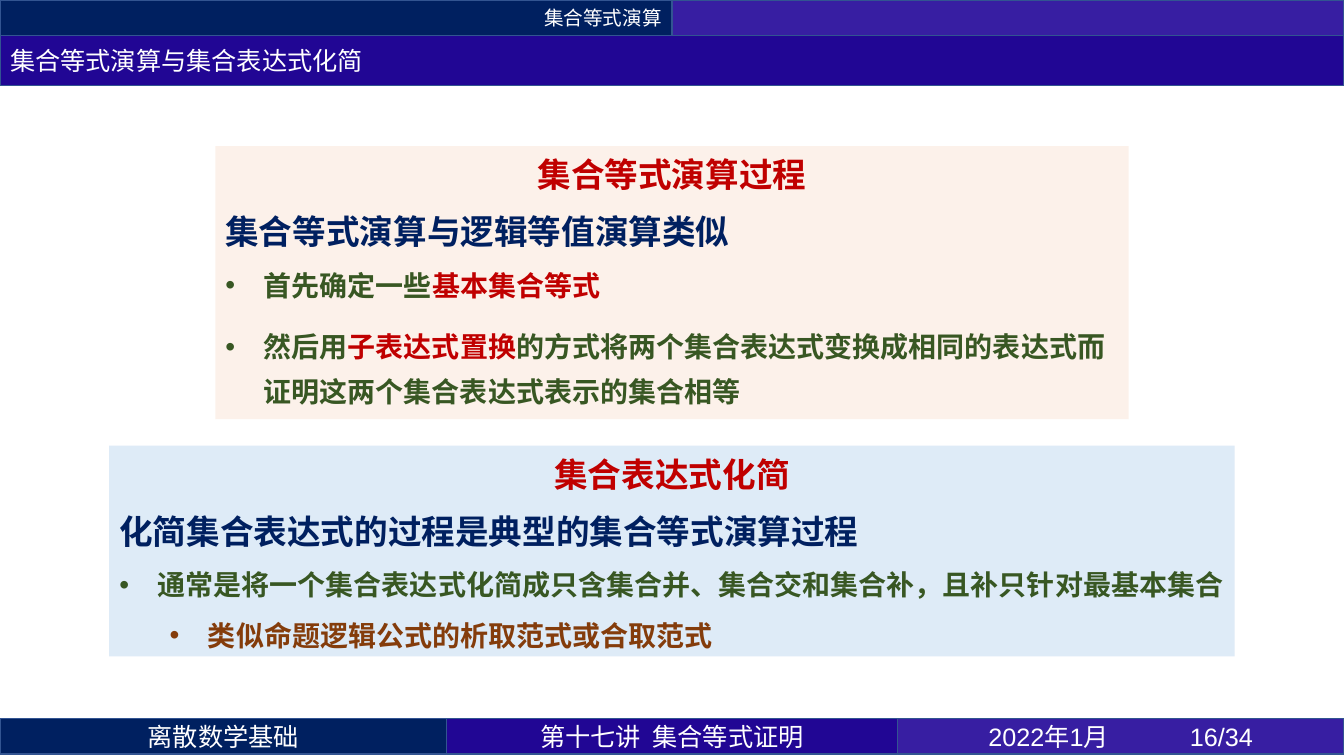
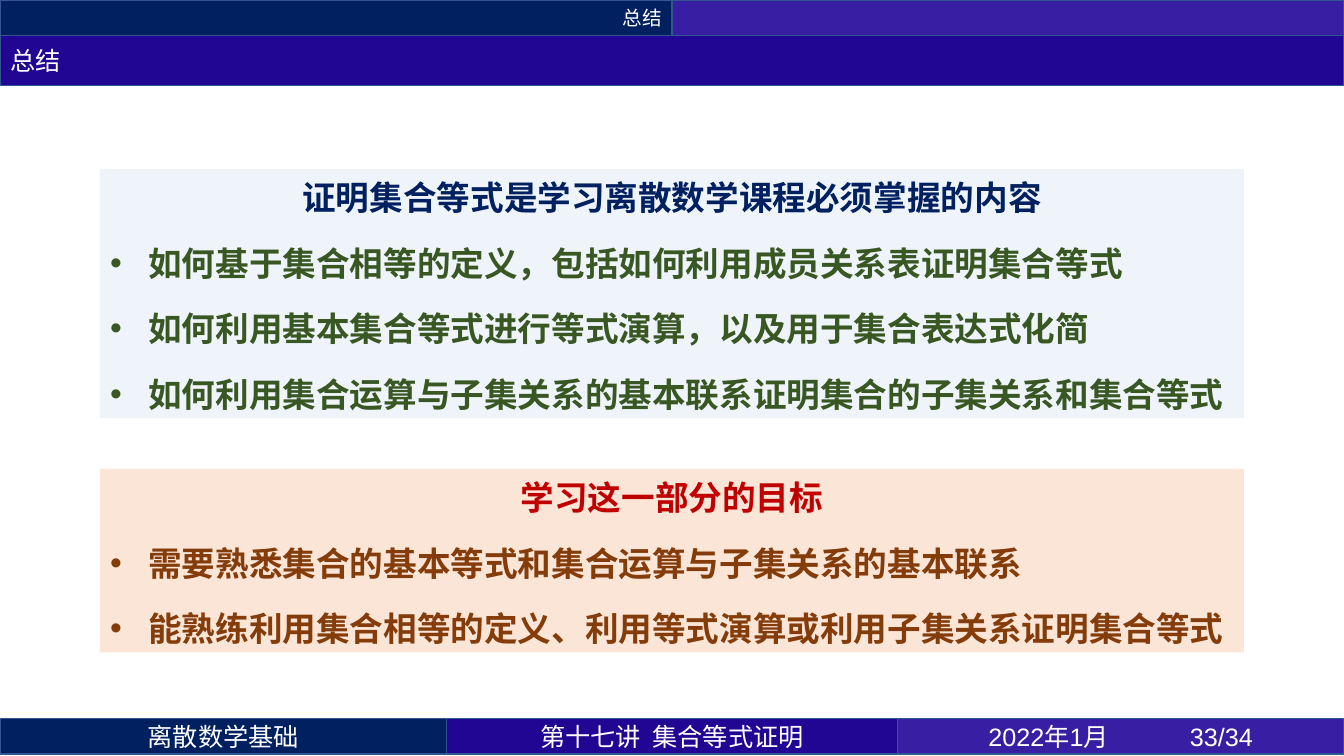
from lxml.etree import SubElement
from pptx import Presentation
from pptx.dml.color import RGBColor
from pptx.enum.shapes import MSO_SHAPE as Shape
from pptx.enum.text import MSO_ANCHOR as Anchor, MSO_AUTO_SIZE as AutoSize, PP_ALIGN as Align
from pptx.oxml.ns import qn
from pptx.util import Pt

COLORS = {
    "white": "FFFFFF", "navy": "002060", "violet": "210694", "purple": "371EA2",
    "edge": "325491", "red": "C00000", "green": "385723", "brown": "843C0B",
    "peach": "FBE5D6", "sky": "DEEBF7",
}
CJK, LATIN = "Noto Sans CJK SC", "Arial"
WIDTH, HEIGHT = 960, 540
BAR, TITLE_BAND = 25.2, 36
FOOTER_TOP = 513.4
INDENT = 27.36
LINE_RATIO = 1.2


def rgb(name):
    return RGBColor.from_string(COLORS[name])


def write(paragraph, text, size=18, color="white", bold=False, font=CJK):
    run = paragraph.add_run()
    run.text = text
    run.font.size = Pt(size)
    run.font.bold = bold
    run.font.name = font
    run.font.color.rgb = rgb(color)
    SubElement(run.font._element, qn("a:ea"), typeface=CJK)


def set_bullet(paragraph, char=None, level=0):
    """Give the paragraph a hanging bullet, or remove the inherited one."""
    properties = paragraph._p.get_or_add_pPr()
    paragraph.level = level
    hang = INDENT if char else 0
    properties.set("marL", str(Pt(hang + 36 * level)))
    properties.set("indent", str(-Pt(hang)))
    if char:
        SubElement(properties, qn("a:buFont"), typeface=LATIN)
        SubElement(properties, qn("a:buChar"), char=char)
    else:
        SubElement(properties, qn("a:buNone"))


def set_tab(paragraph, position):
    tabs = SubElement(paragraph._p.get_or_add_pPr(), qn("a:tabLst"))
    SubElement(tabs, qn("a:tab"), pos=str(Pt(position)), algn="l")


def place(shape, left, top, width, height):
    shape.left, shape.top = Pt(left), Pt(top)
    shape.width, shape.height = Pt(width), Pt(height)


def paint(shape, fill, opacity=100):
    shape.fill.solid()
    shape.fill.fore_color.rgb = rgb(fill)
    if opacity < 100:
        color = shape._element.spPr.find(qn("a:solidFill"))[0]
        SubElement(color, qn("a:alpha"), val=str(opacity * 1000))


class Deck:
    def __init__(self):
        self.prs = Presentation()
        self.prs.slide_width, self.prs.slide_height = Pt(WIDTH), Pt(HEIGHT)
        self.slide = None

    def style_band(self, shape, fill, text, align, tab=None, **fmt):
        paint(shape, fill)
        shape.line.color.rgb = rgb("edge")
        shape.line.width = Pt(1)
        frame = shape.text_frame
        frame.word_wrap = True
        frame.auto_size = AutoSize.NONE
        frame.vertical_anchor = Anchor.MIDDLE
        frame.margin_top = frame.margin_bottom = 0
        paragraph = frame.paragraphs[0]
        paragraph.alignment = align
        if tab:
            set_tab(paragraph, tab)
        if text:
            write(paragraph, text, **fmt)

    def band(self, left, top, width, fill, text="", align=Align.CENTER, **fmt):
        shape = self.slide.shapes.add_shape(
            Shape.RECTANGLE, Pt(left), Pt(top), Pt(width), Pt(BAR))
        shape.shadow.inherit = False
        self.style_band(shape, fill, text, align, **fmt)

    def start(self, section, title, number):
        """Add a slide with its header, title band and footer."""
        self.slide = self.prs.slides.add_slide(self.prs.slide_layouts.get_by_name("Two Content"))
        for holder in list(self.slide.placeholders):
            if holder.placeholder_format.idx > 2:
                holder._element.getparent().remove(holder._element)
        half = WIDTH / 2
        self.band(0, 0, half, "navy", section, Align.RIGHT, size=14)
        self.band(half, 0, half, "purple")
        side, middle = 319, 322
        self.band(0, FOOTER_TOP, side, "navy", "离散数学基础")
        self.band(side, FOOTER_TOP, middle, "violet", "第十七讲  集合等式证明")
        self.band(side + middle, FOOTER_TOP, side, "purple",
                  f"2022年1月\t{number}/34", tab=144, font=LATIN)
        heading = self.slide.shapes.title
        place(heading, 0, BAR, WIDTH, TITLE_BAND)
        self.style_band(heading, "violet", title, Align.LEFT)

    def panel(self, slot, top, width, height, fill, rows, gap=6, opacity=100):
        """Fill body placeholder `slot` with rows of (parts, format), centred on the slide."""
        body = self.slide.placeholders[slot]
        place(body, (WIDTH - width) / 2, top, width, height)
        paint(body, fill, opacity)
        frame = body.text_frame
        frame.word_wrap = True
        frame.auto_size = AutoSize.NONE
        frame.vertical_anchor = Anchor.TOP
        frame.margin_top = Pt(5.6)
        for index, (parts, fmt) in enumerate(rows):
            paragraph = frame.add_paragraph() if index else frame.paragraphs[0]
            size = fmt.get("size", 24)
            set_bullet(paragraph, fmt.get("bullet"), fmt.get("level", 0))
            paragraph.alignment = fmt.get("align", Align.LEFT)
            paragraph.line_spacing = Pt(fmt.get("leading", size * LINE_RATIO))
            paragraph.space_before = Pt(gap if index else 0)
            paragraph.space_after = Pt(gap)
            for text, color in parts:
                write(paragraph, text, size=size, color=color, bold=True)


def heading(text, color="red"):
    return [(text, color)], {"align": Align.CENTER}


def lead(text):
    return [(text, "navy")], {}


def item(*parts, **fmt):
    return parts, {"bullet": "•", **fmt}


def main():
    deck = Deck()

    deck.start("集合等式演算", "集合等式演算与集合表达式化简", 16)
    deck.panel(1, 104.4, 652.4, 195, "peach", [
        heading("集合等式演算过程"),
        lead("集合等式演算与逻辑等值演算类似"),
        item(("首先确定一些", "green"), ("基本集合等式", "red"), size=20),
        item(("然后用", "green"), ("子表达式置换", "red"),
             ("的方式将两个集合表达式变换成相同的表达式而证明这两个集合表达式表示的集合相等", "green"),
             size=20, leading=32),
    ], opacity=50)
    deck.panel(2, 318.4, 804, 150.4, "sky", [
        heading("集合表达式化简"),
        lead("化简集合表达式的过程是典型的集合等式演算过程"),
        item(("通常是将一个集合表达式化简成只含集合并、集合交和集合补，且补只针对最基本集合", "green"),
             size=20),
        item(("类似命题逻辑公式的析取范式或合取范式", "brown"), size=20, level=1),
    ])

    deck.start("总结", "总结", 33)
    deck.panel(1, 120.8, 817.2, 177.8, "sky", [
        heading("证明集合等式是学习离散数学课程必须掌握的内容", "navy"),
        item(("如何基于集合相等的定义，包括如何利用成员关系表证明集合等式", "green")),
        item(("如何利用基本集合等式进行等式演算，以及用于集合表达式化简", "green")),
        item(("如何利用集合运算与子集关系的基本联系证明集合的子集关系和集合等式", "green")),
    ], gap=9, opacity=50)
    deck.panel(2, 335, 817.2, 131, "peach", [
        heading("学习这一部分的目标"),
        item(("需要熟悉集合的基本等式和集合运算与子集关系的基本联系", "brown")),
        item(("能熟练利用集合相等的定义、利用等式演算或利用子集关系证明集合等式", "brown")),
    ], gap=9)

    deck.prs.save("out.pptx")


if __name__ == "__main__":
    main()
